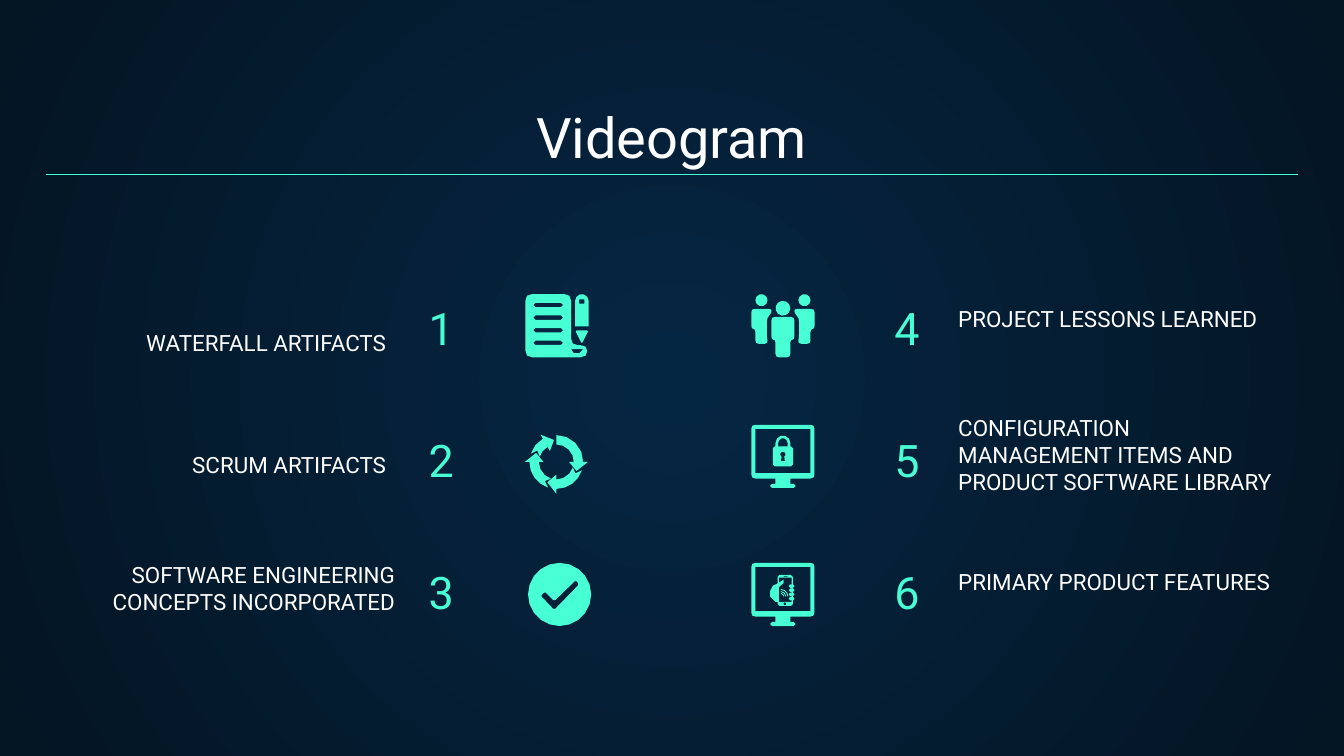
import math

import pptx
import pptx.dml.color
import pptx.enum.shapes
import pptx.enum.text
import pptx.oxml
import pptx.oxml.ns
import pptx.util
from lxml import etree

Cm, Pt = pptx.util.Cm, pptx.util.Pt
RGB = pptx.dml.color.RGBColor
ALIGN = pptx.enum.text.PP_ALIGN
MINT, WHITE = RGB(0x48, 0xFF, 0xD5), RGB(0xFF, 0xFF, 0xFF)
CORE, EDGE = RGB(0x05, 0x26, 0x43), RGB(0x04, 0x15, 0x23)
UNIT = Cm(0.0254)  # one step of the icon grids

# Content: label, then its left, top and width in cm
TITLE = "Videogram"
LEFT = [
    ("WATERFALL ARTIFACTS", 1.78, 6.45, 5.77),
    ("SCRUM ARTIFACTS", 1.78, 8.76, 5.77),
    ("SOFTWARE ENGINEERING CONCEPTS INCORPORATED", 1.65, 11.35, 6.07),
]
RIGHT = [
    ("PROJECT LESSONS LEARNED", 17.86, 5.99, 6.3),
    ("CONFIGURATION MANAGEMENT ITEMS AND PRODUCT SOFTWARE LIBRARY",
     17.86, 9.07, 6.68),
    ("PRIMARY PRODUCT FEATURES", 17.86, 10.97, 6.68),
]
# Labels, first number, number left in cm, number and label alignment
SIDES = [
    (LEFT, 1, 7.85, ALIGN.LEFT, ALIGN.RIGHT),
    (RIGHT, 4, 14.35, ALIGN.RIGHT, ALIGN.LEFT),
]
FRAME = {
    "word_wrap": True,
    "vertical_anchor": pptx.enum.text.MSO_ANCHOR.BOTTOM,
    "margin_left": Cm(0.25), "margin_right": Cm(0.25),
    "margin_top": Cm(0.25), "margin_bottom": Cm(0.25),
}


# Outline helpers: each returns a list of points
def arc(x, y, r, start, end):
    n = max(1, round(abs(end - start) / 360 * (8 + r / 2)))
    turns = [math.radians(start + (end - start) * i / n) for i in range(n + 1)]
    return [(x + r * math.cos(t), y + r * math.sin(t)) for t in turns]


def dot(x, y, r):
    return arc(x, y, r, 0, 360)


def bend(points, r):
    """Round every corner of a polygon; small corners are just cut."""
    if r == 0:
        return points
    out = []
    for i, p in enumerate(points):
        ends = []
        for q in (points[i - 1], points[(i + 1) % len(points)]):
            k = min(r / math.dist(p, q), 0.5)
            ends.append([a + (b - a) * k for a, b in zip(p, q)])
        for t in (0, 1) if r <= 1.5 else (0, 0.5, 1):
            out.append(tuple((1 - t) ** 2 * a + 2 * t * (1 - t) * b + t * t * c
                             for a, b, c in zip(ends[0], p, ends[1])))
    return out


def box(x, y, w, h, r):
    return bend([(x, y), (x + w, y), (x + w, y + h), (x, y + h)], r)


def band(x, y, r, thick, start, end):
    return arc(x, y, r, start, end) + arc(x, y, r - thick, end, start)


def arrow(start, end, notch):
    def spot(r, angle):
        return arc(23, 21, r, angle, angle)[0]
    return (arc(23, 21, 20, start, end)
            + [spot(23.5, end), spot(16.5, end + 24), spot(9.5, end)]
            + arc(23, 21, 13, end, start) + [spot(16.5, start + notch)])


# Icons: parts, each a list of outlines (inner ones are holes)
SIDE = [(0, 11), (15, 11), (15, 14), (11.5, 18), (11.5, 32), (12.5, 37),
        (3, 37), (3, 26), (0, 26)]
BODY = [(15, 17), (32, 17), (32, 34), (29, 34), (29, 47), (18, 47),
        (18, 34), (15, 34)]
PAGE = [(0, 0), (34, 0), (34, 38), (46, 38), (46, 47), (0, 47)]
HAND = [(20, 15), (24, 12.5), (24, 15), (20.5, 18), (20.5, 29), (18, 29),
        (14, 25), (14, 21), (16, 17)]
TICK = [(35.5, 13), (38, 16), (19.5, 35), (9.5, 24.5), (12.5, 21.5),
        (19.5, 28.5)]

notes = [
    [bend(PAGE, 5)] + [box(6, 6.5 + 9.4 * i, 22, 3.2, 1.5) for i in range(4)]
    + [[(43, 41), (40, 44), (36, 44), (34, 41)]],
    [bend([(37, 27), (47, 27), (42, 37)], 1)],
    [arc(42, 5, 5, 180, 360) + [(47, 24), (37, 24)], box(40, 4, 4, 3, 0)],
]
cycle = [[arrow(*a)] for a in
         [(-90, 0, 0), (18, 90, 13), (108, 180, 13), (198, 240, 13)]]
check = [[dot(23.5, 23.5, 23.5), bend(TICK, 1)]]
team = [[dot(7.5, 4.5, 4.5)], [dot(39.5, 4.5, 4.5)], [dot(23.5, 10.5, 5.5)],
        [bend(SIDE, 2.5)], [bend([(47 - x, y) for x, y in SIDE], 2.5)],
        [bend(BODY, 2.5)]]
screen = [[box(0, 0, 47, 40, 3), box(3, 3, 41, 33, 0), box(18, 40, 11, 4, 0),
           box(14, 44, 19, 3, 1.5)]]
lock = [[
    arc(23.5, 13.5, 5.5, 180, 360) + [(29, 16), (27, 16)]
    + arc(23.5, 13.5, 3.5, 360, 180) + [(20, 16), (18, 16)],
    box(16, 16, 15, 15, 1.5),
    arc(23.5, 22, 2, 120, 420) + [(25, 27), (22, 27)],
]]
phone = [
    [box(19.5, 9, 11.5, 23, 1.5), box(20.5, 11, 9.5, 18, 0),
     box(24, 10, 3, 0.6, 0), box(24, 29.5, 2, 2, 0.6)],
    [HAND],
    [box(28, 16 + 3.1 * i, 4, 2.6, 1) for i in range(4)],
    [band(22, 25, r, 0.7, -90, 0) for r in (2.5, 4, 5.5)],
]
ICONS = [
    (9.93, 5.56, notes), (9.93, 8.2, cycle), (9.98, 10.64, check),
    (14.2, 5.56, team), (14.2, 8.03, screen + lock),
    (14.2, 10.64, screen + phone),
]

deck = pptx.Presentation()
deck.slide_width, deck.slide_height = Cm(25.4), Cm(14.29)
slide = deck.slides.add_slide(deck.slide_layouts[6])
shapes = slide.shapes


def write(text, x, y, w, h, size, color, align):
    frame = shapes.add_textbox(Cm(x), Cm(y), Cm(w), Cm(h)).text_frame
    for name, value in FRAME.items():
        setattr(frame, name, value)
    line = frame.paragraphs[0]
    line.alignment = align
    run = line.add_run()
    run.text = text
    look = {"name": "Roboto", "size": Pt(size)}
    for name, value in look.items():
        setattr(run.font, name, value)
    run.font.color.rgb = color


def draw(x, y, part):
    pen = None
    for outline in part:
        points = [(Cm(x) + a * UNIT, Cm(y) + b * UNIT) for a, b in outline]
        if pen is None:
            pen = shapes.build_freeform(*points[0])
        else:
            pen.move_to(*points[0])
        pen.add_line_segments(points[1:], close=True)
    shape = pen.convert_to_shape()
    shape.shadow.inherit = False
    shape.fill.solid()
    shape.fill.fore_color.rgb = MINT
    shape.line.fill.background()


# Radial background
fill = slide.background.fill
fill.gradient()
for stop, color in zip(fill.gradient_stops, (CORE, EDGE)):
    stop.color.rgb = color
qn = pptx.oxml.ns.qn
grad = next(slide.element.iter(qn("a:gradFill")))
grad.remove(grad.find(qn("a:lin")))
way = etree.SubElement(grad, qn("a:path"), {"path": "circle"})
etree.SubElement(way, qn("a:fillToRect"), dict.fromkeys("ltrb", "50000"))

# Title and rule
write(TITLE, 0.86, 1.78, 23.67, 1.68, 30, WHITE, ALIGN.CENTER)
rule = shapes.add_connector(pptx.enum.shapes.MSO_CONNECTOR.STRAIGHT,
                            Cm(0.86), Cm(3.3), Cm(24.54), Cm(3.3))
rule.line.color.rgb = MINT
rule.line.width = Pt(0.75)
etree.SubElement(rule._element.spPr, qn("a:effectLst"))

# Numbers and labels
for labels, first, x, near, far in SIDES:
    for i, (text, left, top, width) in enumerate(labels):
        write(str(first + i), x, 5.28 + 2.49 * i, 3.28, 1.68, 24, MINT, near)
        write(text, left, top, width, 0.53, 12, WHITE, far)

# Icons
for x, y, parts in ICONS:
    for part in parts:
        draw(x, y, part)

deck.save("out.pptx")
